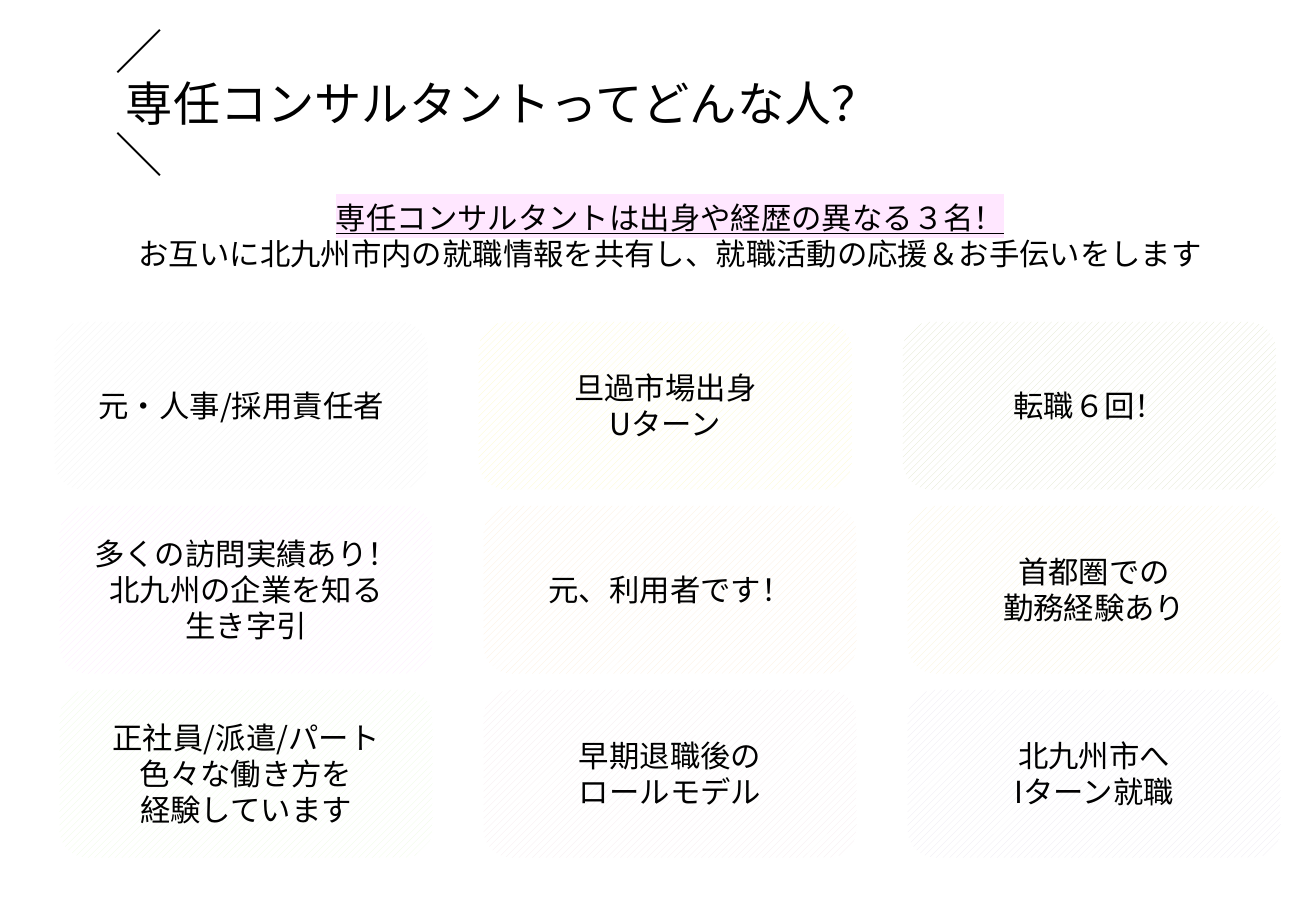
from lxml import etree
from pptx import Presentation
from pptx.dml.color import RGBColor
from pptx.enum.dml import MSO_PATTERN
from pptx.enum.shapes import MSO_SHAPE
from pptx.enum.text import MSO_ANCHOR, MSO_AUTO_SIZE, PP_ALIGN
from pptx.oxml.ns import qn
from pptx.util import Inches, Pt

WIDTH, HEIGHT = 10.83, 7.5
FONT = "Noto Sans CJK JP"
INK, PAPER, MARK = "000000", "FFFFFF", "FFE7FF"
LEFT, CENTER = PP_ALIGN.LEFT, PP_ALIGN.CENTER
TOP, MIDDLE = MSO_ANCHOR.TOP, MSO_ANCHOR.MIDDLE
FIXED = MSO_AUTO_SIZE.NONE
ROUND = MSO_SHAPE.ROUNDED_RECTANGLE
STRIPES = MSO_PATTERN.WIDE_UPWARD_DIAGONAL

TITLE = "／\v 専任コンサルタントってどんな人？\v＼"
LEAD = ("専任コンサルタントは出身や経歴の異なる３名！\n"
        "お互いに北九州市内の就職情報を共有し、就職活動の応援＆お手伝いをします")
# One row per band of cards: left edge, then (text, stripe colour) pairs
ROWS = [
    (0.45, [("元・人事/採用責任者", "F2F2F2"),
            ("旦過市場出身\nUターン", "FEFAC6"),
            ("転職６回！", "DFE5CA")]),
    (0.49, [("多くの訪問実績あり！\n北九州の企業を知る\n生き字引", "FFE7FF"),
            ("元、利用者です！", "FDEDDA"),
            ("首都圏での\n勤務経験あり", "FAF2D4")]),
    (0.49, [("正社員/派遣/パート\n色々な働き方を\n経験しています", "ECFBDF"),
            ("早期退職後の\nロールモデル", "F6E9ED"),
            ("北九州市へ\nIターン就職", "EBE7F2")]),
]
CARD_W, CARD_H = 3.07, 1.38
COL_STEP, ROW_STEP = 3.49, 1.515


def color(code):
    """Turn a hex string into a colour."""
    return RGBColor.from_string(code)


def place(box):
    """Turn a box in inches into slide lengths."""
    return [Inches(side) for side in box]


def write(frame, text, size, pitch, align, anchor):
    """Fill a text frame and format its lines and runs."""
    frame.text = text
    frame.word_wrap = True
    frame.auto_size = FIXED
    frame.vertical_anchor = anchor
    for line in frame.paragraphs:
        line.alignment = align
        line.line_spacing = Pt(pitch)
        for run in line.runs:
            run.font.size = Pt(size)
            run.font.name = FONT
            run.font.color.rgb = color(INK)
            latin = run.font._element.find(qn("a:latin"))
            east = etree.Element(qn("a:ea"), typeface=FONT)
            latin.addnext(east)


def mark(run, code):
    """Underline a run and highlight it."""
    run.font.underline = True
    light = etree.Element(qn("a:highlight"))
    etree.SubElement(light, qn("a:srgbClr"), val=code)
    run.font._element.find(qn("a:latin")).addprevious(light)


def head(slide, box):
    """Set the title between its two strokes."""
    title = slide.shapes.title
    title.left, title.top, title.width, title.height = place(box)
    write(title.text_frame, TITLE, 28, 30.4, LEFT, MIDDLE)


def lead(slide, box):
    """Add the two lead lines, the first one marked."""
    frame = slide.shapes.add_textbox(*place(box)).text_frame
    write(frame, LEAD, 18, 21.4, CENTER, TOP)
    mark(frame.paragraphs[0].runs[0], MARK)


def card(slide, box, text, tint):
    """Add one striped card."""
    shape = slide.shapes.add_shape(ROUND, *place(box))
    shape.shadow.inherit = False
    shape.line.fill.background()
    shape.fill.patterned()
    shape.fill.pattern = STRIPES
    shape.fill.fore_color.rgb = color(tint)
    shape.fill.back_color.rgb = color(PAPER)
    write(shape.text_frame, text, 18, 21.4, CENTER, MIDDLE)


def grid(slide, top):
    """Lay out the rows of cards below the given height."""
    for row, (left, cards) in enumerate(ROWS):
        for col, (text, tint) in enumerate(cards):
            box = (left + col * COL_STEP, top + row * ROW_STEP, CARD_W, CARD_H)
            card(slide, box, text, tint)


def main():
    """Build the slide and save it."""
    deck = Presentation()
    deck.slide_width, deck.slide_height = Inches(WIDTH), Inches(HEIGHT)
    slide = deck.slides.add_slide(deck.slide_layouts[5])
    head(slide, (0.85, 0.14, 9.34, 1.45))
    lead(slide, (0.1, 1.59, WIDTH, 0.71))
    grid(slide, 2.65)
    deck.save("out.pptx")


main()
